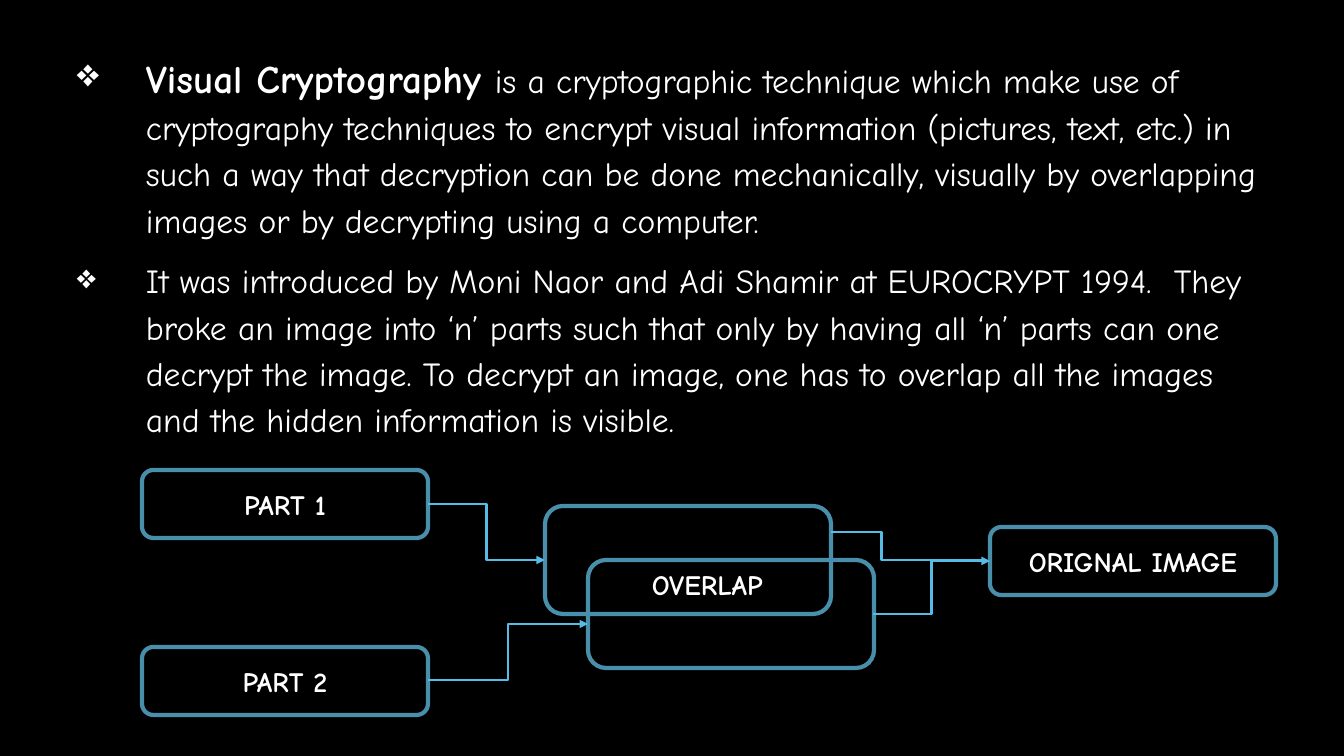
from lxml import etree
from pptx import Presentation
from pptx import util as u
from pptx.dml.color import RGBColor
from pptx.enum import shapes, text
from pptx.oxml.ns import qn

SCALE = 914400 / 100.8
BLACK = RGBColor(0x00, 0x00, 0x00)
WHITE = RGBColor(0xFF, 0xFF, 0xFF)
TEAL = RGBColor(0x49, 0x8F, 0xAB)
SKY = RGBColor(0x57, 0xBC, 0xE5)

LABEL = {"size": u.Pt(20), "bold": True}
TERM = {"size": u.Pt(28), "bold": True}
BODY = {"size": u.Pt(24), "bold": False}
ITEM = {"line_spacing": 1.15, "space_after": u.Pt(10)}
FRAME = {"word_wrap": True, "auto_size": text.MSO_AUTO_SIZE.SHAPE_TO_FIT_TEXT}


def emu(*sizes):
    """Turn pixels into EMU."""
    return [u.Emu(round(size * SCALE)) for size in sizes]


def apply(item, form):
    """Set each format value on an item."""
    for name, value in form.items():
        setattr(item, name, value)


class Deck:
    """Hold the style and the current slide."""

    font = "Comic Neue"
    ink = WHITE

    def __init__(self, wide, high):
        """Start a deck with one blank black slide."""
        self.show = Presentation()
        apply(self.show, dict(zip(("slide_width", "slide_height"), emu(wide, high))))
        self.slide = self.show.slides.add_slide(self.show.slide_layouts[6])
        fill = self.slide.background.fill
        fill.solid()
        fill.fore_color.rgb = BLACK

    def run(self, para, words, form):
        """Add a run in the house font."""
        font = para.add_run()
        font.text = words
        apply(font.font, {"name": self.font, **form})
        font.font.color.rgb = self.ink

    def note(self, area):
        """Add a text box that grows with its text, and return its frame."""
        frame = self.slide.shapes.add_textbox(*emu(*area)).text_frame
        apply(frame, FRAME)
        return frame

    def label(self, area, words):
        """Add a one-line label."""
        self.run(self.note(area).paragraphs[0], words, LABEL)

    def bullets(self, area, items, indent, mark):
        """Add a bulleted list; each item is a list of runs."""
        frame = self.note(area)
        for i, runs in enumerate(items):
            para = frame.add_paragraph() if i else frame.paragraphs[0]
            apply(para, ITEM)
            props = para._p.get_or_add_pPr()
            left = emu(indent)[0]
            props.set("marL", str(left))
            props.set("indent", str(-left))
            etree.SubElement(props, qn("a:buChar")).set("char", mark)
            for words, form in runs:
                self.run(para, words, form)

    def box(self, area, words=""):
        """Add an outlined round box with a centred label."""
        shape = self.slide.shapes.add_shape(
            shapes.MSO_SHAPE.ROUNDED_RECTANGLE, *emu(*area))
        shape.shadow.inherit = False
        shape.fill.background()
        shape.line.color.rgb = TEAL
        shape.line.width = u.Pt(3)
        if words:
            frame = shape.text_frame
            apply(frame, {"word_wrap": True, "vertical_anchor": text.MSO_ANCHOR.MIDDLE})
            para = frame.paragraphs[0]
            para.alignment = text.PP_ALIGN.CENTER
            self.run(para, words, LABEL)

    def link(self, start, end, head=True):
        """Add an elbow line, with an arrowhead if wanted."""
        line = self.slide.shapes.add_connector(
            shapes.MSO_CONNECTOR.ELBOW, *emu(*start, *end))
        line.line.color.rgb = SKY
        line.line.width = u.Pt(2)
        if head:
            etree.SubElement(line.line._get_or_add_ln(), qn("a:tailEnd")).set(
                "type", "triangle")
        etree.SubElement(line._element.spPr, qn("a:effectLst"))


deck = Deck(1344, 756)

deck.bullets((67, 42, 1210, 404), [
    [("Visual Cryptography ", TERM),
     ("is a cryptographic technique which make use of cryptography techniques "
      "to encrypt visual information (pictures, text, etc.) in such a way that "
      "decryption can be done mechanically, visually by overlapping images or "
      "by decrypting using a computer.", BODY)],
    [("It was introduced by Moni Naor and Adi Shamir at EUROCRYPT 1994.  They "
      "broke an image into ‘n’ parts such that only by having all ‘n’ parts can "
      "one decrypt the image. To decrypt an image, one has to overlap all the "
      "images and the hidden information is visible.", BODY)],
], 69, "❖")

WIDE, LOW, TALL = 286, 68, 108
for left, top, high, words in (
        (142, 470, LOW, "PART 1"),
        (142, 647, LOW, "PART 2"),
        (545, 506, TALL, ""),
        (588, 560, TALL, ""),
        (990, 527, LOW, "ORIGNAL IMAGE")):
    deck.box((left, top, WIDE, high), words)
deck.label((642, 563, 176, 44), "OVERLAP")

deck.link((428, 504), (545, 560))
deck.link((428, 680), (588, 624))
deck.link((873, 614), (990, 561))
deck.link((831, 532), (932, 560), head=False)

deck.show.save("out.pptx")
